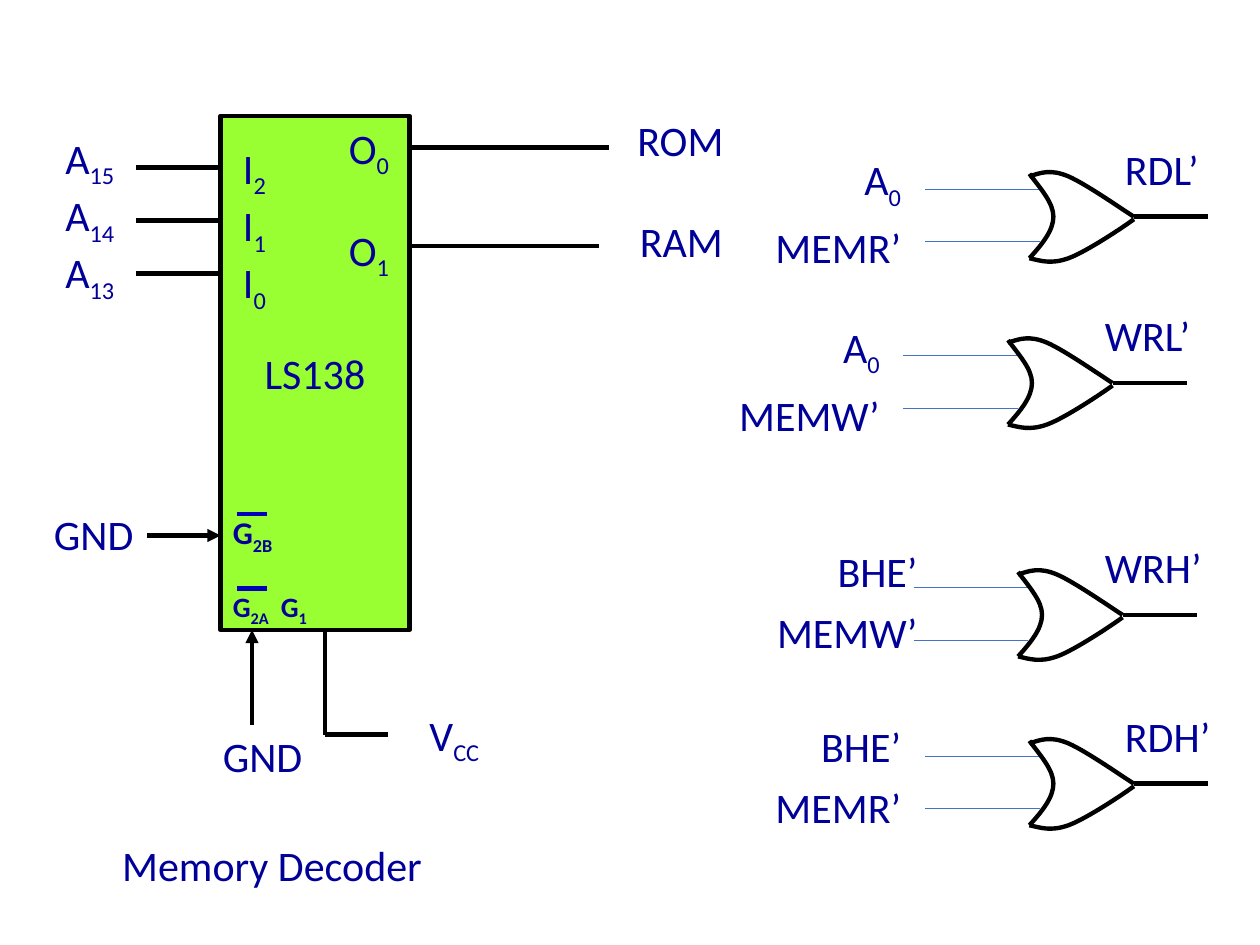
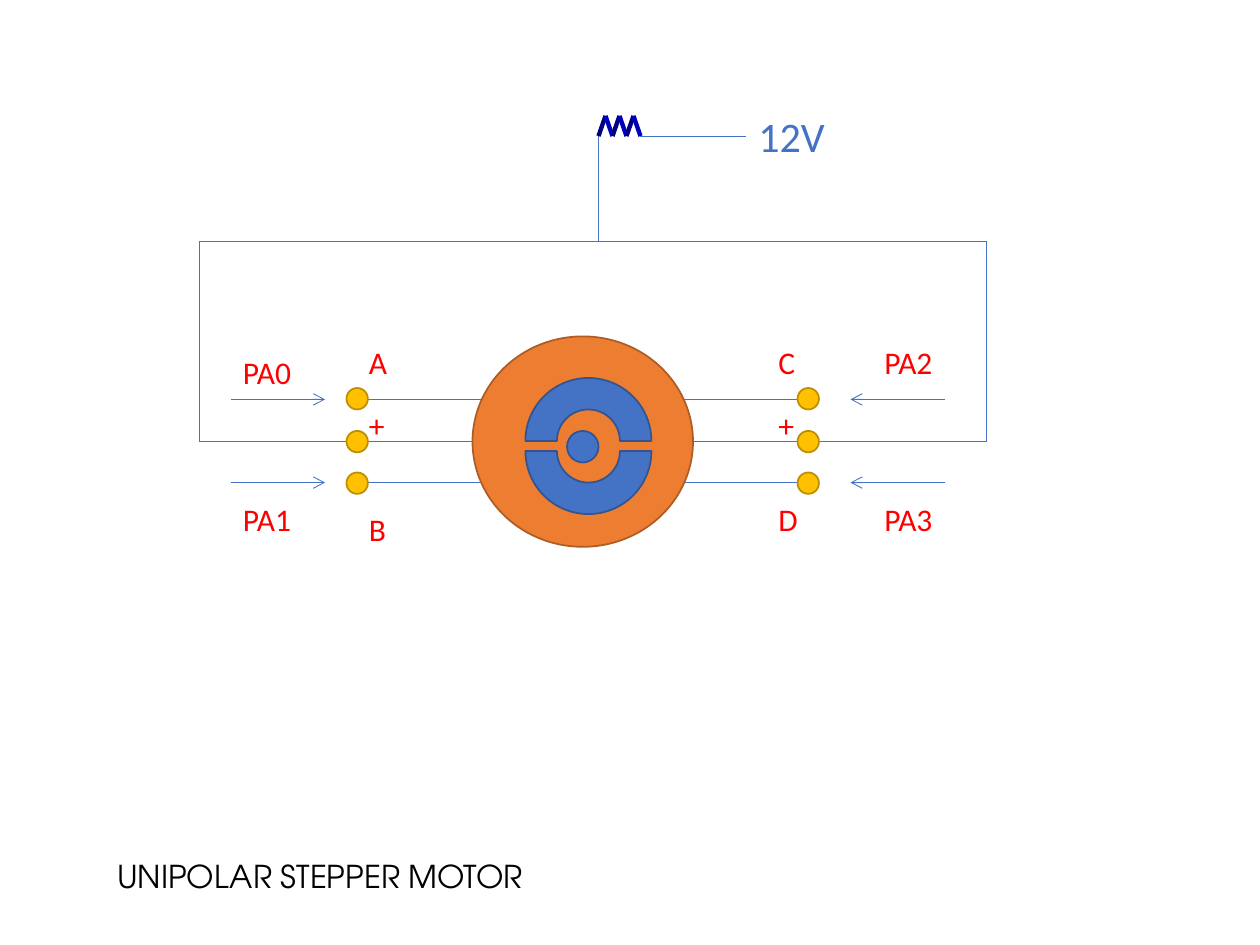
from pptx import Presentation
from pptx.dml.color import RGBColor
from pptx.enum import shapes as kinds, text as txt
from pptx.oxml.ns import qn
from pptx.util import Inches, Pt
from lxml import etree

NAVY = RGBColor(0x00, 0x00, 0x99)
INK_BLUE = RGBColor(0x00, 0x00, 0xBC)
DARK_BLUE = RGBColor(0x00, 0x00, 0x80)
BLUE = RGBColor(0x44, 0x72, 0xC4)
BLUE_EDGE = RGBColor(0x32, 0x54, 0x91)
ORANGE = RGBColor(0xED, 0x7D, 0x31)
ORANGE_EDGE = RGBColor(0xAF, 0x5C, 0x24)
GOLD = RGBColor(0xFF, 0xC0, 0x00)
GOLD_EDGE = RGBColor(0xBD, 0x8E, 0x00)
GREEN = RGBColor(0x99, 0xFF, 0x33)
RED = RGBColor(0xFF, 0x00, 0x00)
BLACK = RGBColor(0x00, 0x00, 0x00)
LEFT, CENTER, RIGHT = txt.PP_ALIGN.LEFT, txt.PP_ALIGN.CENTER, txt.PP_ALIGN.RIGHT
TOP, MIDDLE = txt.MSO_ANCHOR.TOP, txt.MSO_ANCHOR.MIDDLE


def wire(shapes, start, end, color=BLACK, width=2.5, head=None):
    line = shapes.add_connector(kinds.MSO_CONNECTOR.STRAIGHT,
                                *map(Inches, (*start, *end)))
    line.line.color.rgb = color
    line.line.width = Pt(width)
    properties = line._element.spPr
    if head:
        etree.SubElement(properties.find(qn("a:ln")), qn("a:tailEnd"), type=head)
    etree.SubElement(properties, qn("a:effectLst"))


def write(shape, rows, size=24, color=NAVY, align=LEFT, anchor=TOP,
          bold=False, after=0, wrap=True, font="Calibri", tab=None):
    frame = shape.text_frame
    frame.word_wrap = wrap
    frame.vertical_anchor = anchor
    for index, row in enumerate(rows):
        paragraph = frame.add_paragraph() if index else frame.paragraphs[0]
        paragraph.alignment = align
        paragraph.space_after = Pt(after)
        paragraph.font.name = font
        paragraph.font.size = Pt(size)
        paragraph.font.bold = bold
        paragraph.font.color.rgb = color
        if tab:
            stops = etree.Element(qn("a:tabLst"))
            etree.SubElement(stops, qn("a:tab"), pos=str(Inches(tab)), algn="l")
            paragraph._p.pPr.find(qn("a:defRPr")).addprevious(stops)
        for part, words in enumerate(row.split("_")):
            run = paragraph.add_run()
            run.text = words
            if part % 2:
                run._r.get_or_add_rPr().set("baseline", "-25000")


prs = Presentation()
prs.slide_width, prs.slide_height = Inches(10), Inches(7.5)
title_only = prs.slide_layouts[5]
decoder, motor = (prs.slides.add_slide(title_only) for _ in range(2))

for slide, title, left, top, width, height, size, color, font in (
        (decoder, "Memory Decoder", 0.87, 6.61, 4.32, 0.51, 24, NAVY, "Calibri"),
        (motor, "UNIPOLAR STEPPER MOTOR", 0.83, 6.75, 3.79, 0.4, 18, BLACK,
         "TeX Gyre Adventor")):
    heading = slide.shapes.title
    heading.left, heading.top = Inches(left), Inches(top)
    heading.width, heading.height = Inches(width), Inches(height)
    heading.text_frame.auto_size = txt.MSO_AUTO_SIZE.NONE
    write(heading, [title], size, color, font=font, wrap=slide is decoder)

chip = decoder.shapes.add_shape(kinds.MSO_SHAPE.RECTANGLE,
                                *map(Inches, (1.75, 0.92, 1.5, 4.08)))
chip.shadow.inherit = False
chip.fill.solid()
chip.fill.fore_color.rgb = GREEN
chip.line.color.rgb = BLACK
chip.line.width = Pt(2.5)
write(chip, ["LS138"], align=CENTER, anchor=MIDDLE, wrap=False)

for y in (1.33, 1.75, 2.17):
    wire(decoder.shapes, (1.08, y), (1.75, y))
for y, end in ((1.17, 4.83), (1.95, 4.75)):
    wire(decoder.shapes, (3.25, y), (end, y))
wire(decoder.shapes, (2.58, 5), (2.58, 5.83))
wire(decoder.shapes, (2.58, 5.83), (3.08, 5.83))
wire(decoder.shapes, (2, 5.75), (2, 5), head="triangle")
wire(decoder.shapes, (1.17, 4.25), (1.75, 4.25), head="triangle")
for y in (4.08, 4.67):
    wire(decoder.shapes, (1.88, y), (2.12, y), INK_BLUE)

for name, left, top, width, height, size in (
        ("A_15_A_14_A_13", 0.42, 1, 0.75, 1.31, 24),
        ("I_2 _I_1_ I_0", 1.83, 1.08, 0.42, 1.31, 24),
        ("O_0", 2.67, 0.92, 1, 0.5, 24),
        ("O_1", 2.67, 1.73, 0.58, 0.91, 24),
        ("ROM", 4.96, 0.86, 1.62, 0.5, 24),
        ("RAM", 4.98, 1.66, 1.08, 0.5, 24),
        ("GND", 0.33, 3.99, 1.11, 0.51, 24),
        ("GND", 1.67, 5.75, 1, 0.5, 24),
        ("V_CC", 3.31, 5.58, 1.52, 0.5, 24),
        ("G_2B", 1.75, 4.02, 0.75, 0.4, 18),
        ("G_2A_\tG_1", 1.75, 4.63, 1.42, 0.37, 16)):
    label = decoder.shapes.add_textbox(*map(Inches, (left, top, width, height)))
    write(label, [name], size, bold=size < 24, tab=0.38 if "\t" in name else None)

GATE_CURVES = (
    ((0, -0.34), (0.09, -0.22), (0.19, -0.11), (0.19, 0),
     (0.19, 0.11), (0.1, 0.22), (0, 0.33)),
    ((0, -0.32), (0.09, -0.35), (0.17, -0.38), (0.31, -0.32),
     (0.45, -0.26), (0.75, -0.05), (0.83, 0)),
    ((0, 0.33), (0.09, 0.35), (0.17, 0.38), (0.31, 0.33),
     (0.45, 0.28), (0.75, 0.08), (0.83, 0.02)))

for left, axis, inputs, inputs_left, inputs_top, inputs_width, output, output_left in (
        (8.17, 1.72, ["A_0", "MEMR’"], 5.75, 1.17, 1.5, "RDL’", 8.83),
        (8, 3.04, ["A_0", "MEMW’"], 5.58, 2.5, 1.5, "WRL’", 8.67),
        (8.08, 4.88, ["BHE’", "MEMW’"], 5.96, 4.28, 1.42, "WRH’", 8.67),
        (8.17, 6.22, ["BHE’", "MEMR’"], 5.75, 5.67, 1.5, "RDH’", 8.83)):
    for y in (axis - 0.22, axis + 0.2):
        wire(decoder.shapes, (left - 0.83, y), (left + 0.08, y), BLUE, 0.5)
    wire(decoder.shapes, (left + 0.83, axis), (left + 1.42, axis))
    for curve in GATE_CURVES:
        points = [(Inches(left + x), Inches(axis + y)) for x, y in curve]
        builder = decoder.shapes.build_freeform(*points[0])
        builder.add_line_segments(points[1:], close=False)
        edge = builder.convert_to_shape()
        edge.shadow.inherit = False
        edge.fill.background()
        edge.line.color.rgb = BLACK
        edge.line.width = Pt(2.5)
        outline = next(edge._element.iter(qn("a:path")))
        segments = outline.findall(qn("a:lnTo"))
        for first in (0, 3):
            bend = etree.SubElement(outline, qn("a:cubicBezTo"))
            for segment in segments[first:first + 3]:
                bend.append(segment[0])
                outline.remove(segment)
    input_names = decoder.shapes.add_textbox(
        *map(Inches, (inputs_left, inputs_top, inputs_width, 0.99)))
    write(input_names, inputs, align=RIGHT, after=6)
    output_name = decoder.shapes.add_textbox(
        *map(Inches, (output_left, axis - 0.63, 1.08, 0.51)))
    write(output_name, [output])

DISC, ARC = kinds.MSO_SHAPE.FLOWCHART_CONNECTOR, kinds.MSO_SHAPE.BLOCK_ARC
motor_parts = [(DISC, 3.75, 2.67, 1.75, 1.67, 0, ORANGE, ORANGE_EDGE),
               (ARC, 4.17, 3, 1, 1, 0, BLUE, BLUE_EDGE),
               (ARC, 4.17, 3.08, 1, 1, 180, BLUE, BLUE_EDGE),
               (DISC, 4.5, 3.42, 0.25, 0.25, 0, BLUE, BLUE_EDGE)]
terminals = [(DISC, x, y, 0.17, 0.17, 0, GOLD, GOLD_EDGE)
             for x in (2.75, 6.33) for y in (3.08, 3.42, 3.75)]

SUPPLY_WIRES = (
    ((2.75, 3.5), (3.75, 3.5)), ((5.5, 3.5), (6.5, 3.5)),
    ((2.75, 3.5), (1.58, 3.5)), ((6.5, 3.5), (7.83, 3.5)),
    ((7.83, 3.5), (7.83, 1.92)), ((1.58, 3.5), (1.58, 1.92)),
    ((1.58, 1.92), (7.83, 1.92)), ((4.75, 1.92), (4.75, 1.08)),
    ((5.08, 1.08), (5.92, 1.08)))
for start, end in SUPPLY_WIRES:
    wire(motor.shapes, start, end, BLUE, 0.5)
for y in (3.17, 3.83):
    for start, end, head in ((2.83, 3.83, None), (5.42, 6.42, None),
                             (1.83, 2.58, "arrow"), (7.5, 6.75, "arrow")):
        wire(motor.shapes, (start, y), (end, y), BLUE, 0.5, head)

resistor = motor.shapes.add_group_shape()
for i in range(6):
    ends = [(4.75 + k / 18, 0.92 if k % 2 else 1.08) for k in (i, i + 1)]
    wire(resistor.shapes, *ends, INK_BLUE if i % 2 else DARK_BLUE)

for kind, left, top, width, height, turn, fill, edge_color in motor_parts + terminals:
    part = motor.shapes.add_shape(kind, *map(Inches, (left, top, width, height)))
    part.shadow.inherit = False
    part.rotation = turn
    part.fill.solid()
    part.fill.fore_color.rgb = fill
    part.line.color.rgb = edge_color
    part.line.width = Pt(1)

for name, left, top, width, size, color in (
        ("12V", 5.92, 0.83, 0.73, 24, BLUE),
        ("A", 2.83, 2.67, 0.35, 18, RED),
        ("+", 2.83, 3.17, 0.33, 18, RED),
        ("B", 2.83, 4, 0.34, 18, RED),
        ("C", 6.08, 2.67, 0.34, 18, RED),
        ("+", 6.08, 3.17, 0.33, 18, RED),
        ("D", 6.08, 3.92, 0.36, 18, RED),
        ("PA0", 1.83, 2.75, 0.59, 18, RED),
        ("PA1", 1.83, 3.92, 0.59, 18, RED),
        ("PA2", 6.92, 2.67, 0.59, 18, RED),
        ("PA3", 6.92, 3.92, 0.59, 18, RED)):
    label = motor.shapes.add_textbox(*map(Inches, (left, top, width, 0.1 + size / 60)))
    write(label, [name], size, color, wrap=False)

prs.save("out.pptx")
